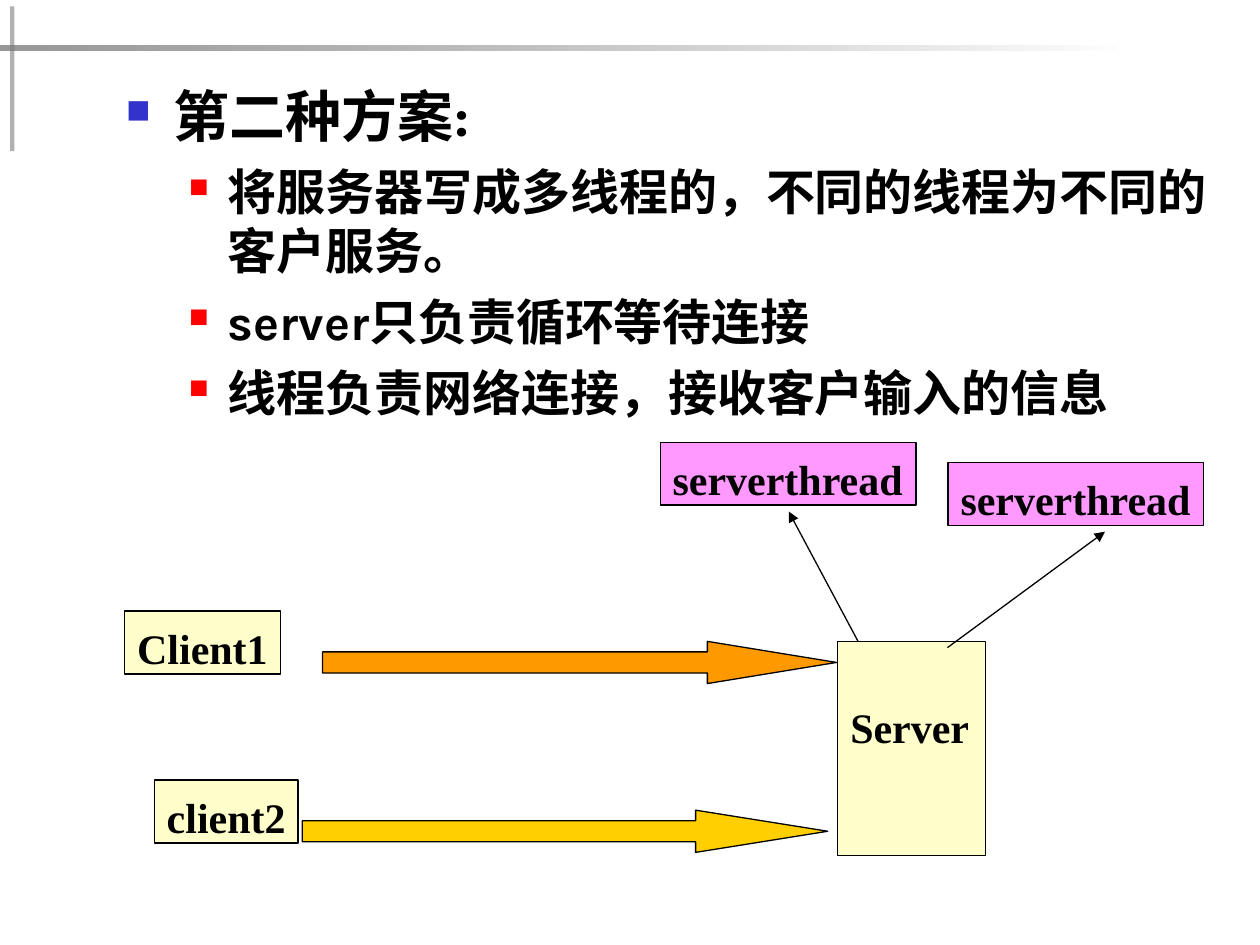
import pptx
import pptx.util
import pptx.dml.color
import pptx.enum.shapes
import pptx.enum.text
import pptx.oxml
import pptx.oxml.ns
from lxml import etree

Pt = pptx.util.Pt
qn = pptx.oxml.ns.qn
MSO = pptx.enum.shapes.MSO_SHAPE

THEME = {
    "ink": "000000", "bar": "1C1C1C", "rule": "808080", "paper": "FFFFFF",
    "node": "FFFFCC", "thread": "FF99FF", "arrow1": "FF9900", "arrow2": "FFCF01",
    "bullet1": "3333CC", "bullet2": "FF0000",
    "body_font": "Karla", "node_font": "Times New Roman",
    "title_pt": 32, "item_pt": 28, "node_pt": 24, "line_pt": 0.75,
}

prs = pptx.Presentation()
prs.slide_width = pptx.util.Inches(10)
prs.slide_height = pptx.util.Inches(7.5)
s = prs.slides.add_slide(prs.slide_layouts[6])
CELL = prs.slide_width / 100  # the slide is a grid of 100 columns by 75 rows


def rgb(name):
    return pptx.dml.color.RGBColor.from_string(THEME[name])


def add_block(kind, cells, fill=None, outlined=True):
    """Add a shape at (column, row, columns, rows), filled with a theme colour."""
    sp = s.shapes.add_shape(kind, *(round(c * CELL) for c in cells))
    sp.shadow.inherit = False
    if fill:
        sp.fill.solid()
        sp.fill.fore_color.rgb = rgb(fill)
    if outlined:
        sp.line.color.rgb = rgb("ink")
        sp.line.width = Pt(THEME["line_pt"])
    else:
        sp.line.fill.background()
    return sp


# Corner decoration: translucent bar and fading rule
bar = add_block(MSO.RECTANGLE, (0.8, 0.5, 0.35, 11.5), "bar", outlined=False)
rule = add_block(MSO.RECTANGLE, (0, 3.6, 90, 0.45), outlined=False)
rule.fill.gradient()
rule.fill.gradient_angle = 0
for stop, color, position in zip(rule.fill.gradient_stops, ("rule", "paper"), (0, 1)):
    stop.color.rgb = rgb(color)
    stop.position = position
for sp, opacity in ((bar, 34), (rule, 81)):
    color = next(sp._element.spPr.iter(qn("a:srgbClr")))
    etree.SubElement(color, qn("a:alpha"), val=str(opacity * 1000))

# Bulleted text
LEVELS = [  # type size, space before, indent, hanging, bullet colour, bullet size
    (THEME["title_pt"], 8, 0.38, 0.38, "bullet1", 60),
    (THEME["item_pt"], 7, 0.81, 0.31, "bullet2", 55),
]
BODY = [
    (0, "第二种方案:"),
    (1, "将服务器写成多线程的，不同的线程为不同的客户服务。"),
    (1, "server只负责循环等待连接"),
    (1, "线程负责网络连接，接收客户输入的信息"),
]
body = s.shapes.add_textbox(*(round(c * CELL) for c in (9, 6, 88.9, 29.1)))
tf = body.text_frame
tf.word_wrap = True
for i, (level, text) in enumerate(BODY):
    size, before, indent, hanging, color, scale = LEVELS[level]
    p = tf.add_paragraph() if i else tf.paragraphs[0]
    p.text = text
    p.level = level
    pPr = p._p.get_or_add_pPr()
    pPr.set("marL", str(pptx.util.Inches(indent)))
    pPr.set("indent", str(-pptx.util.Inches(hanging)))
    bullet_color = etree.SubElement(pPr, qn("a:buClr"))
    etree.SubElement(bullet_color, qn("a:srgbClr"), val=THEME[color])
    etree.SubElement(pPr, qn("a:buSzPct"), val=str(scale * 1000))
    etree.SubElement(pPr, qn("a:buChar"), char="■")
    p.space_before = Pt(before if i else 0)
    r = p.runs[0]
    r.font.size = Pt(size)
    r.font.bold = True
    r.font.name = THEME["body_font"]
    r.font.color.rgb = rgb("ink")
    etree.SubElement(r._r.get_or_add_rPr(), qn("a:ea"), typeface=THEME["body_font"])

# Block arrows from the clients to the server
for cells, fill, head in [
    ((25.6, 50.9, 40.8, 3.35), "arrow1", 3.06),
    ((24, 64.3, 41.7, 3.35), "arrow2", 3.13),
]:
    sp = add_block(MSO.RIGHT_ARROW, cells, fill)
    sp.adjustments[0] = 0.5
    sp.adjustments[1] = head

# Labelled boxes, with the row inset above each label
for text, cells, fill, inset in [
    ("Client1", (9.9, 48.5, 12.35, 5), "node", 0.9),
    ("client2", (12.25, 61.9, 11.4, 5), "node", 0.9),
    ("Server", (66.5, 50.9, 11.7, 17), "node", 4.8),
    ("serverthread", (52.4, 35.1, 20.3, 5), "thread", 0.9),
    ("serverthread", (75.25, 36.7, 20.3, 5), "thread", 0.9),
]:
    sp = add_block(MSO.RECTANGLE, cells, fill)
    tf = sp.text_frame
    tf.word_wrap = False
    tf.vertical_anchor = pptx.enum.text.MSO_ANCHOR.TOP
    tf.margin_top = round(inset * CELL)
    tf.margin_bottom = 0
    tf.text = text
    p = tf.paragraphs[0]
    p.alignment = pptx.enum.text.PP_ALIGN.LEFT
    r = p.runs[0]
    r.font.name = THEME["node_font"]
    r.font.size = Pt(THEME["node_pt"])
    r.font.bold = True
    r.font.color.rgb = rgb("ink")

# Thin arrows from the server to its threads
for ends in [(68.1, 50.9, 62.6, 40.6), (75.2, 51.4, 87.7, 42.2)]:
    line = s.shapes.add_connector(
        pptx.enum.shapes.MSO_CONNECTOR.STRAIGHT, *(round(c * CELL) for c in ends))
    line.line.color.rgb = rgb("ink")
    line.line.width = Pt(THEME["line_pt"])
    etree.SubElement(line.line._get_or_add_ln(), qn("a:tailEnd"), type="triangle")
    etree.SubElement(line._element.spPr, qn("a:effectLst"))

prs.save("out.pptx")
